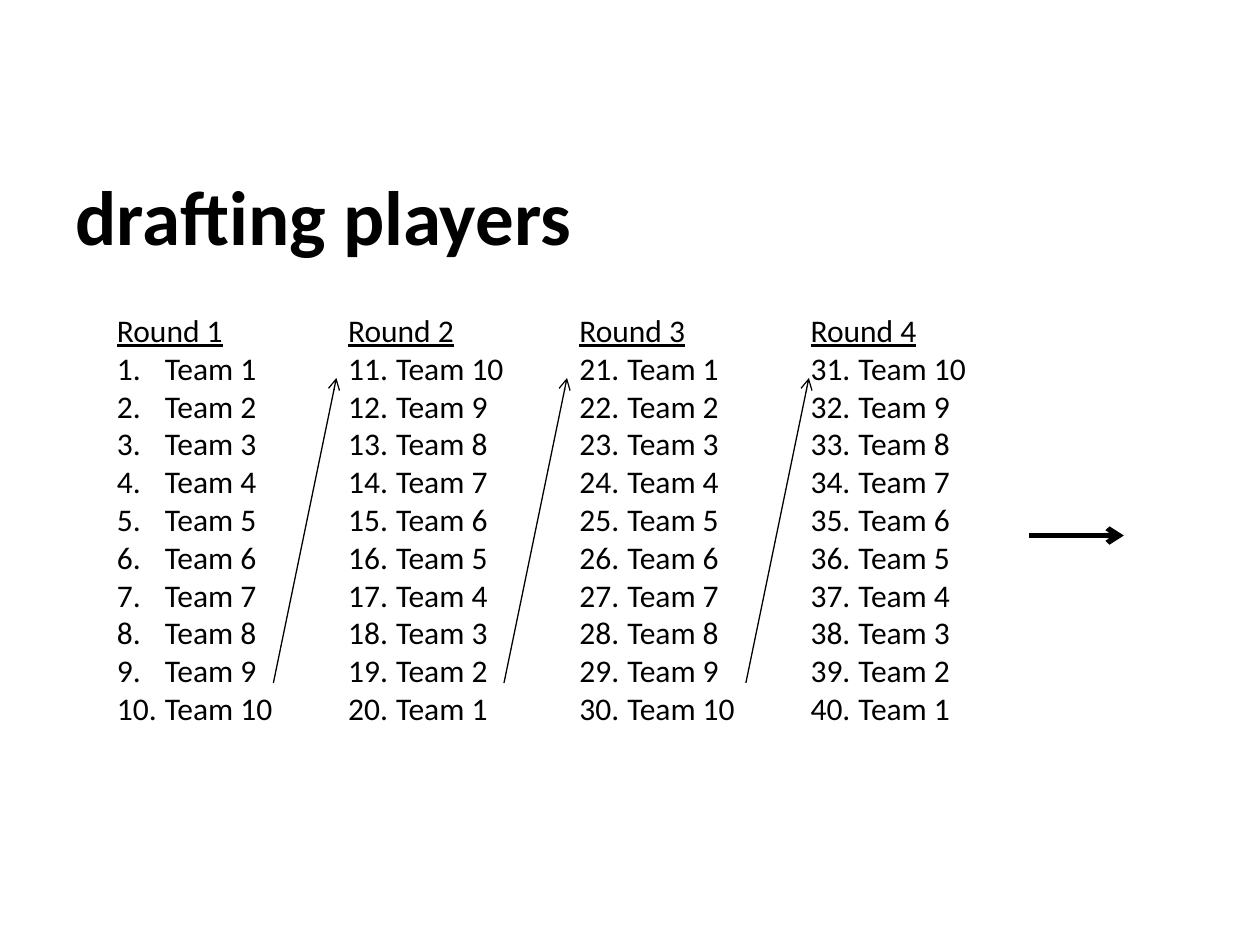
from dataclasses import dataclass

from lxml.etree import SubElement
from pptx import Presentation
from pptx.dml.color import RGBColor
from pptx.enum.shapes import MSO_CONNECTOR as CONN
from pptx.enum.text import MSO_ANCHOR, MSO_AUTO_SIZE, PP_ALIGN
from pptx.oxml.ns import qn
from pptx.util import Inches, Pt


@dataclass(frozen=True)
class Theme:
    font: str = "Calibri"
    ink: RGBColor = RGBColor(0, 0, 0)
    title: int = 44
    body: int = 18
    thin: float = 0.75
    thick: float = 3


THEME = Theme()
TEAMS = 10
ROUNDS = 4
LEFT, PITCH = 0.83, 1.835
INDENT = 0.38


def add_run(p, text, size, bold=False, underline=False):
    r = p.add_run()
    r.text = text
    r.font.name = THEME.font
    r.font.size = Pt(size)
    r.font.color.rgb = THEME.ink
    r.font.bold = bold
    r.font.underline = underline


def number_paragraph(p, start):
    pPr = p._p.get_or_add_pPr()
    pPr.set("marL", str(Inches(INDENT)))
    pPr.set("indent", str(-Inches(INDENT)))
    SubElement(pPr, qn("a:buFont"), typeface="+mj-lt")
    SubElement(pPr, qn("a:buAutoNum"), type="arabicPeriod", startAt=str(start))


def add_title(s, text):
    sp = s.shapes.title
    sp.left, sp.top = Inches(0.5), Inches(1.08)
    sp.width, sp.height = Inches(9), Inches(1.25)
    tf = sp.text_frame
    tf.vertical_anchor = MSO_ANCHOR.MIDDLE
    p = tf.paragraphs[0]
    p.alignment = PP_ALIGN.LEFT
    add_run(p, text, THEME.title, bold=True)


def add_round(s, index):
    sp = s.shapes.add_textbox(Inches(LEFT + index * PITCH), Inches(2.42),
                              Inches(1.58), Inches(3.43))
    tf = sp.text_frame
    tf.word_wrap = True
    tf.auto_size = MSO_AUTO_SIZE.SHAPE_TO_FIT_TEXT
    add_run(tf.paragraphs[0], f"Round {index + 1}", THEME.body, underline=True)
    order = range(1, TEAMS + 1)
    for team in reversed(order) if index % 2 else order:
        p = tf.add_paragraph()
        number_paragraph(p, index * TEAMS + 1)
        add_run(p, f"Team {team}", THEME.body)


def add_arrow(s, x1, y1, x2, y2, weight):
    cxn = s.shapes.add_connector(CONN.STRAIGHT, Inches(x1), Inches(y1),
                                 Inches(x2), Inches(y2))
    cxn.line.color.rgb = THEME.ink
    cxn.line.width = Pt(weight)
    SubElement(cxn.line._get_or_add_ln(), qn("a:tailEnd"), type="arrow")
    SubElement(cxn._element.spPr, qn("a:effectLst"))


def main():
    prs = Presentation()
    prs.slide_width, prs.slide_height = Inches(10), Inches(7.5)
    s = prs.slides.add_slide(prs.slide_layouts[5])
    add_title(s, "drafting players")
    for index in range(ROUNDS):
        add_round(s, index)
    add_arrow(s, 8.17, 4.25, 8.92, 4.25, THEME.thick)
    for x in (2.17, 4, 5.92):
        add_arrow(s, x, 5.42, x + 0.5, 3, THEME.thin)
    prs.save("out.pptx")


if __name__ == "__main__":
    main()
